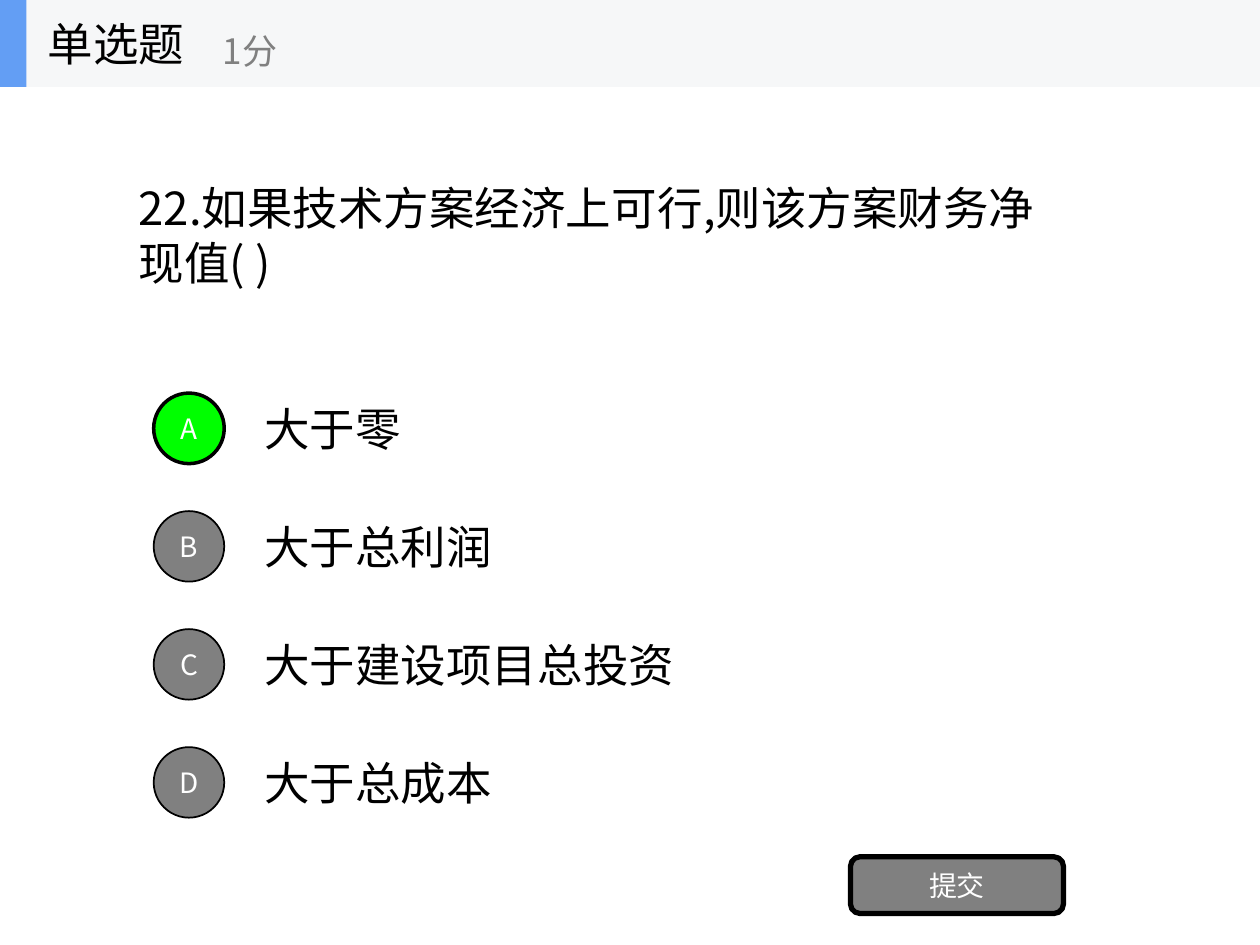
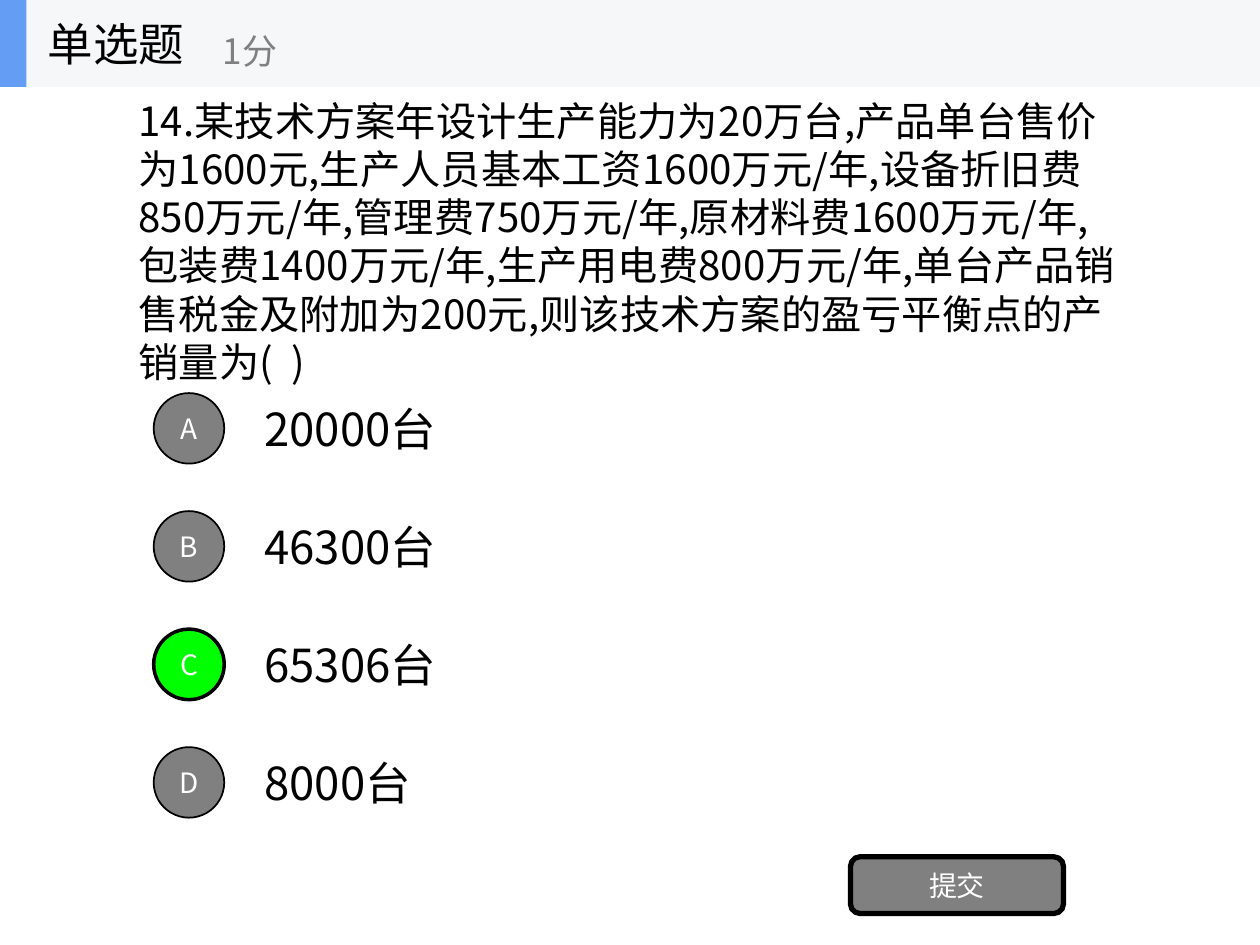
from pptx import Presentation
from pptx.dml.color import RGBColor
from pptx.enum.shapes import MSO_SHAPE
from pptx.enum.text import MSO_ANCHOR, MSO_AUTO_SIZE, PP_ALIGN
from pptx.oxml.ns import qn
from pptx.util import Inches, Pt
from lxml import etree

# Content
HEADING, POINTS, SUBMIT = "单选题", "1分", "提交"
QUESTIONS = [
    {
        "text": "22.如果技术方案经济上可行,则该方案财务净现值( )",
        "box": (1, 1.38, 7.66, 0.97),
        "size": 26,
        "options": ["大于零", "大于总利润", "大于建设项目总投资", "大于总成本"],
        "answer": "A",
    },
    {
        "text": "14.某技术方案年设计生产能力为20万台,产品单台售价为1600元,"
                "生产人员基本工资1600万元/年,设备折旧费850万元/年,"
                "管理费750万元/年,原材料费1600万元/年,包装费1400万元/年,"
                "生产用电费800万元/年,单台产品销售税金及附加为200元,"
                "则该技术方案的盈亏平衡点的产销量为(  )",
        "box": (1, 0.71, 8, 2.4),
        "size": 23,
        "options": ["20000台", "46300台", "65306台", "8000台"],
        "answer": "C",
    },
]

# Style
FONT = "Noto Sans CJK SC"
BLACK = RGBColor(0x00, 0x00, 0x00)
WHITE = RGBColor(0xFF, 0xFF, 0xFF)
GRAY = RGBColor(0x80, 0x80, 0x80)
GREEN = RGBColor(0x00, 0xFF, 0x00)
BAND = RGBColor(0xF6, 0xF7, 0xF8)
BLUE = RGBColor(0x63, 0x9E, 0xF4)

RECT, OVAL, ROUNDED = MSO_SHAPE.RECTANGLE, MSO_SHAPE.OVAL, MSO_SHAPE.ROUNDED_RECTANGLE
MIDDLE = MSO_ANCHOR.MIDDLE
LEFT, CENTER = PP_ALIGN.LEFT, PP_ALIGN.CENTER
NO_FIT = MSO_AUTO_SIZE.NONE

# Layout, in inches
BAND_H = 0.69
FIRST_TOP, LAST_TOP = 3.12, 5.93
CIRCLE_LEFT, CIRCLE = 1.22, 0.56
OPTION_LEFT, OPTION_H = 2, 0.54
DIGIT_W, HANZI_W, OPTION_PAD = 0.21, 0.36, 0.31


def inches(box):
    return [Inches(v) for v in box]


def write(sp, text, size, color, align=LEFT):
    tf = sp.text_frame
    tf.word_wrap = True
    tf.auto_size = NO_FIT
    tf.vertical_anchor = MIDDLE
    p = tf.paragraphs[0]
    p.alignment = align
    r = p.add_run()
    r.text = text
    r.font.size = Pt(size)
    r.font.name = FONT
    r.font.color.rgb = color
    ea = etree.SubElement(r.font._element, qn("a:ea"))
    ea.set("typeface", FONT)


def add_text(shapes, box, text, size, color):
    write(shapes.add_textbox(*inches(box)), text, size, color)


def add_block(shapes, kind, box, fill, line=0, text=None):
    sp = shapes.add_shape(kind, *inches(box))
    sp.shadow.inherit = False
    sp.fill.solid()
    sp.fill.fore_color.rgb = fill
    if line:
        sp.line.color.rgb = BLACK
        sp.line.width = Pt(line)
    else:
        sp.line.fill.background()
    if text:
        write(sp, text, 16, WHITE, CENTER)


def add_header(s):
    shapes = s.shapes.add_group_shape().shapes
    add_block(shapes, RECT, (0, 0, 10, BAND_H), BAND)
    add_block(shapes, RECT, (0, 0, 0.21, BAND_H), BLUE)
    add_text(shapes, (0.28, 0, 2.08, BAND_H), HEADING, 26, BLACK)
    add_text(shapes, (1.67, 0.12, 2.5, 0.56), POINTS, 20, GRAY)


def add_options(s, options, answer):
    pitch = (LAST_TOP - FIRST_TOP) / (len(options) - 1)
    for i, (letter, option) in enumerate(zip("ABCD", options)):
        top = FIRST_TOP + i * pitch
        width = OPTION_PAD + sum(DIGIT_W if c.isdigit() else HANZI_W for c in option)
        add_text(s.shapes, (OPTION_LEFT, top + 0.01, width, OPTION_H), option, 26, BLACK)
        fill, line = (GREEN, 2) if letter == answer else (GRAY, 1)
        add_block(s.shapes, OVAL, (CIRCLE_LEFT, top, CIRCLE, CIRCLE), fill, line, letter)


def add_question(prs, question):
    s = prs.slides.add_slide(prs.slide_layouts[5])  # title only
    title = s.shapes.title
    title.left, title.top, title.width, title.height = inches(question["box"])
    write(title, question["text"], question["size"], BLACK)
    add_options(s, question["options"], question["answer"])
    add_block(s.shapes, ROUNDED, (6.75, 6.8, 1.69, 0.45), GRAY, 3, SUBMIT)
    add_header(s)


def main():
    prs = Presentation()
    prs.slide_width, prs.slide_height = Inches(10), Inches(7.5)
    for question in QUESTIONS:
        add_question(prs, question)
    prs.save("out.pptx")


if __name__ == "__main__":
    main()
